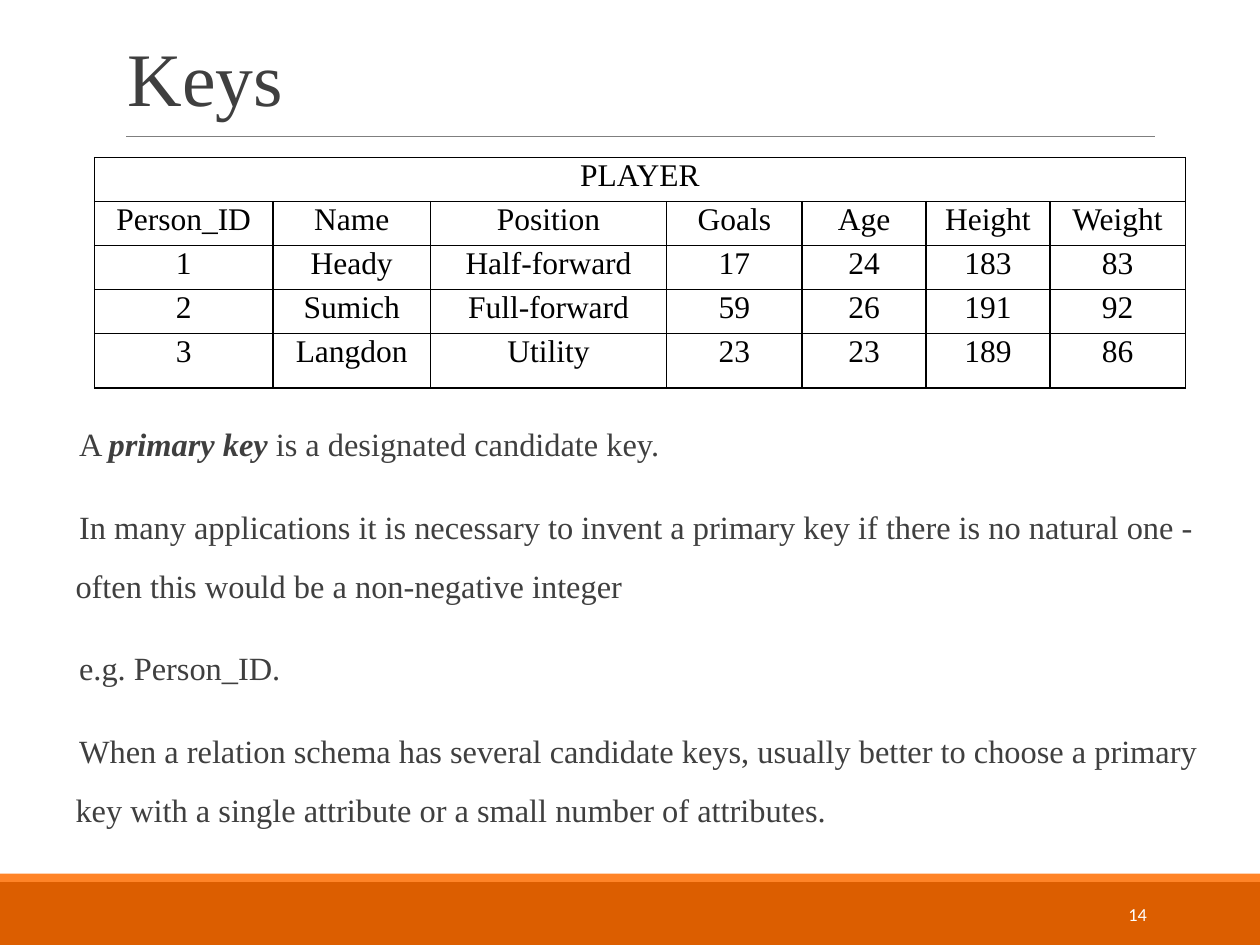
from lxml.etree import SubElement
from pptx import Presentation
from pptx.dml.color import RGBColor
from pptx.enum.shapes import MSO_CONNECTOR as Connector, MSO_SHAPE as Shape
from pptx.enum.text import MSO_ANCHOR as Anchor, PP_ALIGN as Align
from pptx.oxml import parse_xml
from pptx.oxml.ns import nsdecls, qn
from pptx.util import Emu, Inches, Pt

COLORS = {"orange": "DC5E00", "amber": "FF8427", "rule": "7F7F7F", "text": "3F3F3F",
          "bullet": "E84C22", "black": "000000", "white": "FFFFFF"}
SERIF, SANS = "Times New Roman", "Calibri"
SLIDE_COLS, SLIDE_ROWS = 120, 90
PLAYER_COLS = [17, 15, 22.5, 12.9, 11.8, 11.8, 12.9]
PLAYER_ROWS = [4, 4, 4, 4, 5.2]
PLAYERS = [
    ["PLAYER"] + [""] * 6,
    ["Person_ID", "Name", "Position", "Goals", "Age", "Height", "Weight"],
    ["1", "Heady", "Half-forward", "17", "24", "183", "83"],
    ["2", "Sumich", "Full-forward", "59", "26", "191", "92"],
    ["3", "Langdon", "Utility", "23", "23", "189", "86"],
]
KEY_NOTES = [
    [("A ", False), ("primary key ", True), ("is a designated candidate key.", False)],
    [("In many applications it is necessary to invent a primary key if there is no "
      "natural one - often this would be a non-negative integer", False)],
    [("e.g. Person_ID.", False)],
    [("When a relation schema has several candidate keys, usually better to choose a "
      "primary key with a single attribute or a small number of attributes.", False)],
]


def grid(*units):
    """Convert grid units of a twelfth of an inch to lengths."""
    return [Emu(round(Inches(1) * unit / 12)) for unit in units]


def rgb(name):
    """Return a palette colour."""
    return RGBColor.from_string(COLORS[name])


def style(font, face, size, color):
    """Set the face, size and colour of a font."""
    font.name, font.size, font.color.rgb = face, Pt(size), rgb(color)


def add_band(slide, color, *box):
    """Add a plain footer band."""
    band = slide.shapes.add_shape(Shape.RECTANGLE, *grid(*box))
    band.shadow.inherit = False
    band.fill.solid()
    band.fill.fore_color.rgb = rgb(color)
    band.line.fill.background()


def add_rule(slide, *ends):
    """Add the thin rule under the title."""
    rule = slide.shapes.add_connector(Connector.STRAIGHT, *grid(*ends))
    rule.line.color.rgb = rgb("rule")
    rule.line.width = Pt(0.75)
    SubElement(rule.element.spPr, qn("a:effectLst"))


def add_frame(slide, anchor, *box):
    """Add a wrapping text box and return its frame."""
    frame = slide.shapes.add_textbox(*grid(*box)).text_frame
    frame.word_wrap = True
    frame.vertical_anchor = anchor
    return frame


def add_label(slide, text, anchor, face, size, color, *box):
    """Add a single line of text and return its paragraph."""
    label = add_frame(slide, anchor, *box).paragraphs[0]
    label.text = text
    style(label.runs[0].font, face, size, color)
    return label


def add_notes(slide, notes, *box):
    """Add paragraphs with blank bullets and emphasised terms."""
    frame = add_frame(slide, Anchor.TOP, *box)
    frame.margin_left = frame.margin_right = 0
    for index, note in enumerate(notes):
        paragraph = frame.add_paragraph() if index else frame.paragraphs[0]
        paragraph.line_spacing = 1.5
        paragraph.space_before = Pt(14 if index else 0)
        properties = paragraph._p.get_or_add_pPr()
        properties.set("marL", str(Inches(0.1)))
        properties.set("indent", str(Inches(-0.14)))
        bullet_color = SubElement(properties, qn("a:buClr"))
        SubElement(bullet_color, qn("a:srgbClr"), val=COLORS["bullet"])
        SubElement(properties, qn("a:buChar"), char=" ")
        for words, emphasised in note:
            run = paragraph.add_run()
            run.text = words
            style(run.font, SERIF, 18.5, "text")
            run.font.bold = run.font.italic = emphasised


def add_borders(cell):
    """Draw a black line on every side of a cell."""
    properties = cell._tc.get_or_add_tcPr()
    for position, side in enumerate(("lnL", "lnR", "lnT", "lnB")):
        properties.insert(position, parse_xml(
            f'<a:{side} {nsdecls("a")} w="{Pt(1)}"><a:solidFill>'
            f'<a:srgbClr val="{COLORS["black"]}"/></a:solidFill></a:{side}>'))


def fill_cell(cell, text):
    """Write centred text into an unfilled, bordered cell."""
    cell.fill.background()
    add_borders(cell)
    entry = cell.text_frame.paragraphs[0]
    entry.text = text
    entry.alignment = Align.CENTER
    entry.line_spacing = 0.83
    style(entry.font, SERIF, 18, "black")
    for run in entry.runs:
        style(run.font, SERIF, 18, "black")


def add_relation(slide, records, widths, heights, left, top):
    """Add a relation table with its name spanning the first row."""
    box = grid(left, top, sum(widths), sum(heights))
    relation = slide.shapes.add_table(len(records), len(widths), *box).table
    relation.first_row = relation.horz_banding = False
    for column, width in zip(relation.columns, grid(*widths)):
        column.width = width
    for row, height, record in zip(relation.rows, grid(*heights), records):
        row.height = height
        for cell, text in zip(row.cells, record):
            fill_cell(cell, text)
    relation.cell(0, 0).merge(relation.cell(0, len(widths) - 1))


def main():
    """Build the slide on keys."""
    deck = Presentation()
    deck.slide_width, deck.slide_height = grid(SLIDE_COLS, SLIDE_ROWS)
    slide = deck.slides.add_slide(deck.slide_layouts[6])
    add_band(slide, "orange", 0, 84, SLIDE_COLS, 6)
    add_band(slide, "amber", 0, 83.2, SLIDE_COLS, 0.8)
    add_rule(slide, 12, 13, 110, 13)
    add_notes(slide, KEY_NOTES, 6, 38, 108, 43)
    page = add_label(slide, "14", Anchor.MIDDLE, SANS, 10.5, "white", 97.4, 84.7, 13, 4.8)
    page.alignment = Align.RIGHT
    add_relation(slide, PLAYERS, PLAYER_COLS, PLAYER_ROWS, 9, 15)
    title = add_label(slide, "Keys", Anchor.BOTTOM, SERIF, 43.2, "text", 11, 3, 115, 9.2)
    title.line_spacing = 0.85
    deck.save("out.pptx")


if __name__ == "__main__":
    main()
